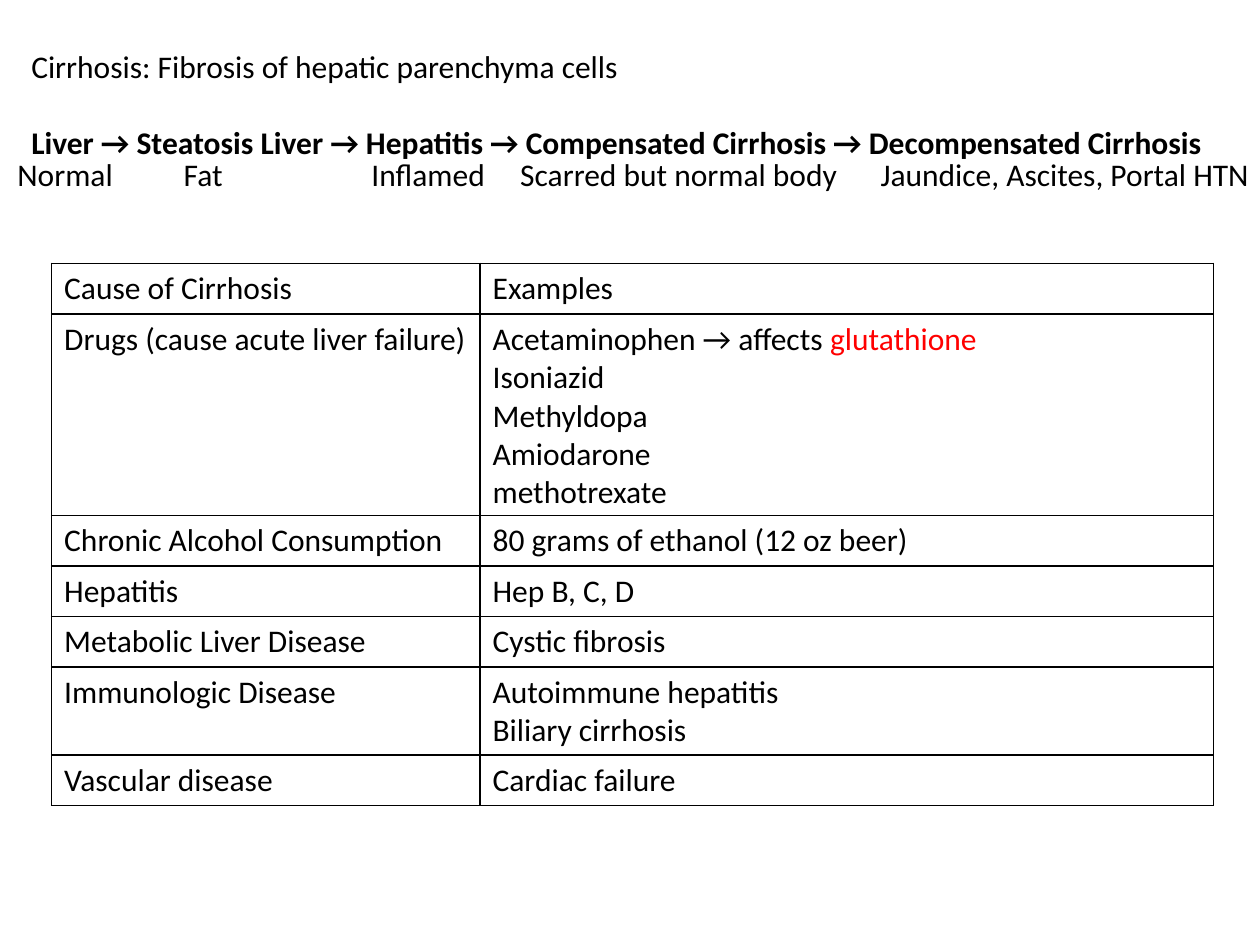
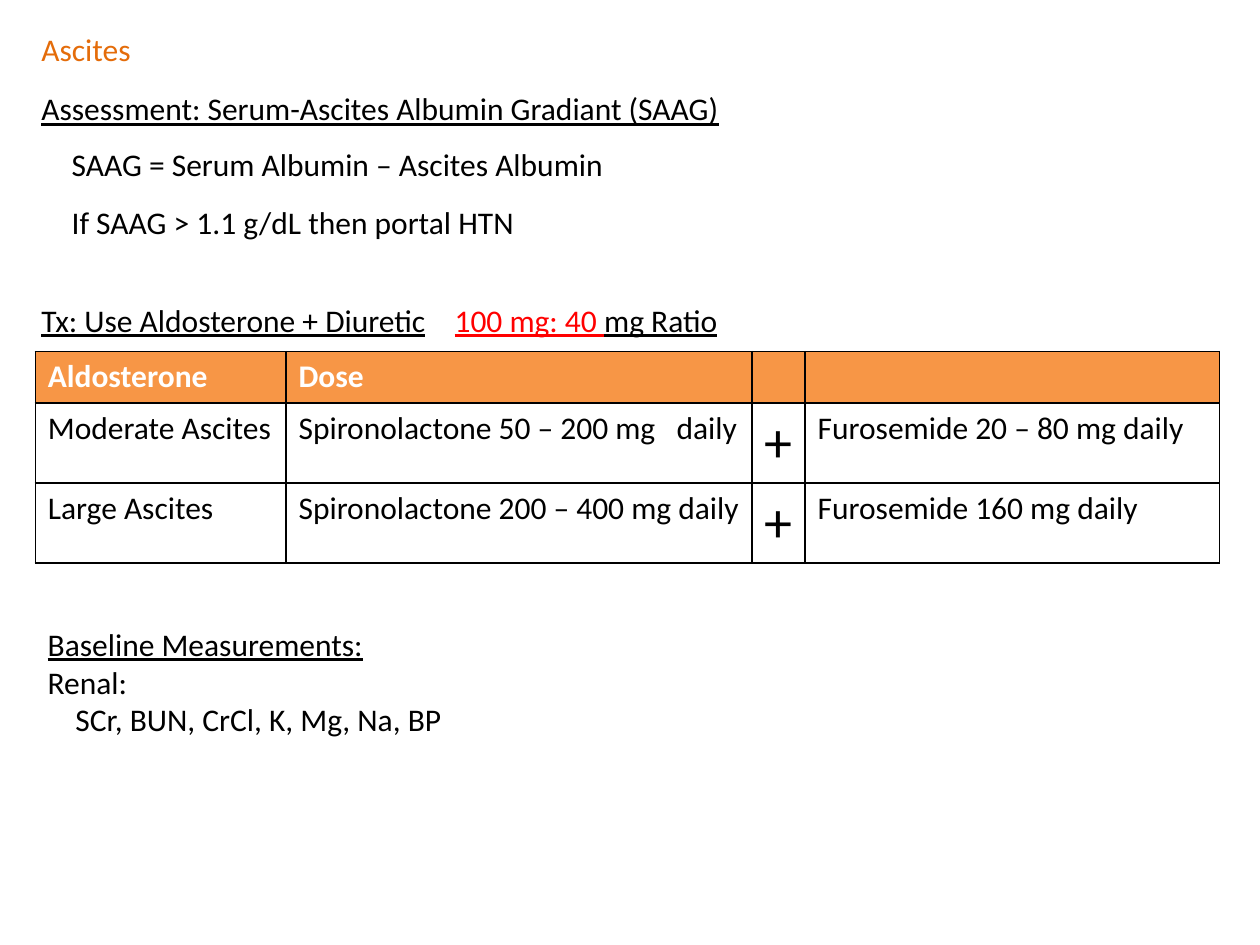
from lxml import etree
from pptx import Presentation
from pptx import util as u
from pptx.dml import color
from pptx.enum import text
from pptx.oxml import ns

FONT = "Calibri"
BLACK, WHITE, RED = "000000", "FFFFFF", "FF0000"
TITLE_ORANGE, HEADER_ORANGE = "E46C0A", "F79646"
BASE = {"name": FONT, "size": u.Pt(18), "bold": False, "underline": False}


def rgb(value):
    return color.RGBColor.from_string(value)


def line(*spans, tabs=(), indent=0, before=0, align=text.PP_ALIGN.LEFT):
    """Describe a paragraph; each span is a string or (string, formats)."""
    return {"spans": [span if isinstance(span, tuple) else (span, {}) for span in spans],
            "tabs": tabs, "indent": indent, "before": before, "align": align}


def write(frame, lines, **shared):
    for index, item in enumerate(lines):
        item = line(item) if isinstance(item, str) else item
        para = frame.paragraphs[0] if index == 0 else frame.add_paragraph()
        para.alignment = item["align"]
        if item["before"]:
            para.space_before = u.Pt(item["before"])
        properties = para._p.get_or_add_pPr()
        if item["indent"]:
            properties.set("marL", str(u.Inches(item["indent"])))
        if item["tabs"]:
            stops = etree.SubElement(properties, ns.qn("a:tabLst"))
            for stop in item["tabs"]:
                etree.SubElement(stops, ns.qn("a:tab"), pos=str(u.Inches(stop)), algn="l")
        for words, formats in item["spans"]:
            span = para.add_run()
            span.text = words
            values = {**BASE, "color": BLACK, **shared, **formats}
            span.font.color.rgb = rgb(values.pop("color"))
            for key, value in values.items():
                setattr(span.font, key, value)


def add_text(page, left, top, width, height, *lines, **shared):
    box = page.shapes.add_textbox(*map(u.Inches, (left, top, width, height)))
    box.text_frame.word_wrap = False
    write(box.text_frame, lines, **shared)


def add_borders(cell):
    properties = cell._tc.get_or_add_tcPr()
    for position, side in enumerate(("lnL", "lnR", "lnT", "lnB")):
        border = etree.Element(ns.qn("a:" + side), w=str(u.Pt(1)))
        fill = etree.SubElement(border, ns.qn("a:solidFill"))
        etree.SubElement(fill, ns.qn("a:srgbClr"), val=BLACK)
        properties.insert(position, border)


def add_grid(page, left, top, widths, heights, rows, header=None):
    """Draw a bordered table; header is the fill of its first row."""
    frame = page.shapes.add_table(
        len(heights), len(widths),
        *map(u.Inches, (left, top, sum(widths), sum(heights))))
    table = frame.table
    table.first_row = table.horz_banding = False
    for column, width in zip(table.columns, widths):
        column.width = u.Inches(width)
    for number, (height, entries) in enumerate(zip(heights, rows)):
        table.rows[number].height = u.Inches(height)
        is_header = header and number == 0
        shared = {"color": WHITE, "bold": True} if is_header else {}
        for column, lines in enumerate(entries):
            cell = table.cell(number, column)
            if is_header:
                cell.fill.solid()
                cell.fill.fore_color.rgb = rgb(header)
            else:
                cell.fill.background()
            add_borders(cell)
            write(cell.text_frame, lines, **shared)


def add_cirrhosis_page(page):
    # Definition and the stages of the disease
    stages = ("Liver", "Steatosis Liver", "Hepatitis",
              "Compensated Cirrhosis", "Decompensated Cirrhosis")
    add_text(page, 0.15, 0.32, 9.73, 1.01,
             "Cirrhosis: Fibrosis of hepatic parenchyma cells",
             line((" → ".join(stages), {"bold": True}), before=22))

    # Causes
    causes = [
        ("Cause of Cirrhosis", ["Examples"]),
        ("Drugs (cause acute liver failure)",
         [line("Acetaminophen → affects ", ("glutathione", {"color": RED})),
          "Isoniazid", "Methyldopa", "Amiodarone", "methotrexate"]),
        ("Chronic Alcohol Consumption", ["80 grams of ethanol (12 oz beer)"]),
        ("Hepatitis", ["Hep B, C, D"]),
        ("Metabolic Liver Disease", ["Cystic fibrosis"]),
        ("Immunologic Disease", ["Autoimmune hepatitis", "Biliary cirrhosis"]),
        ("Vascular disease", ["Cardiac failure"]),
    ]
    heights = [0.1 + 0.3 * len(examples) for _, examples in causes]
    add_grid(page, 0.41, 2.09, (3.4, 5.82), heights,
             [([cause], examples) for cause, examples in causes])

    # What each stage means
    add_text(page, 0.04, 1.18, 6.8, 0.4,
             line("Normal\tFat\tInflamed\tScarred but normal body",
                  tabs=(1.32, 2.81, 3.99)))
    add_text(page, 6.89, 1.18, 3.23, 0.4, "Jaundice, Ascites, Portal HTN")


def add_ascites_page(page):
    # Assessment
    add_text(page, 0.23, 0.19, 0.92, 0.4, "Ascites", color=TITLE_ORANGE)
    add_text(page, 0.23, 0.66, 5.65, 0.4,
             "Assessment: Serum-Ascites Albumin Gradiant (SAAG)", underline=True)
    add_text(page, 0.47, 1.1, 4.47, 0.4, "SAAG = Serum Albumin – Ascites Albumin")
    add_text(page, 0.47, 1.56, 3.75, 0.4, "If SAAG > 1.1 g/dL then portal HTN")

    # Baseline measurements
    add_text(page, 0.28, 4.91, 3.39, 1.01,
             line(("Baseline Measurements:", {"underline": True})),
             "Renal:",
             line("SCr, BUN, CrCl, K, Mg, Na, BP", indent=0.22))

    # Treatment and doses
    add_text(page, 0.23, 2.34, 5.64, 0.4,
             line("Tx: Use Aldosterone + Diuretic\t",
                  ("100 mg: 40 ", {"color": RED}), "mg Ratio", tabs=(3.28,)),
             underline=True)
    plus = line(("+", {"size": u.Pt(32)}), align=text.PP_ALIGN.CENTER)
    doses = [
        (["Aldosterone"], ["Dose"], [], []),
        (["Moderate Ascites"],
         [line("Spironolactone 50 – 200 mg\tdaily", tabs=(3.0,))],
         [plus], ["Furosemide 20 – 80 mg daily"]),
        (["Large Ascites"], ["Spironolactone 200 – 400 mg daily"],
         [plus], ["Furosemide 160 mg daily"]),
    ]
    add_grid(page, 0.28, 2.79, (1.99, 3.7, 0.42, 3.29), (0.41, 0.63, 0.63),
             doses, header=HEADER_ORANGE)


def main():
    deck = Presentation()
    deck.slide_width, deck.slide_height = u.Inches(10), u.Inches(7.5)
    for build in (add_cirrhosis_page, add_ascites_page):
        build(deck.slides.add_slide(deck.slide_layouts[6]))
    deck.save("out.pptx")


if __name__ == "__main__":
    main()
